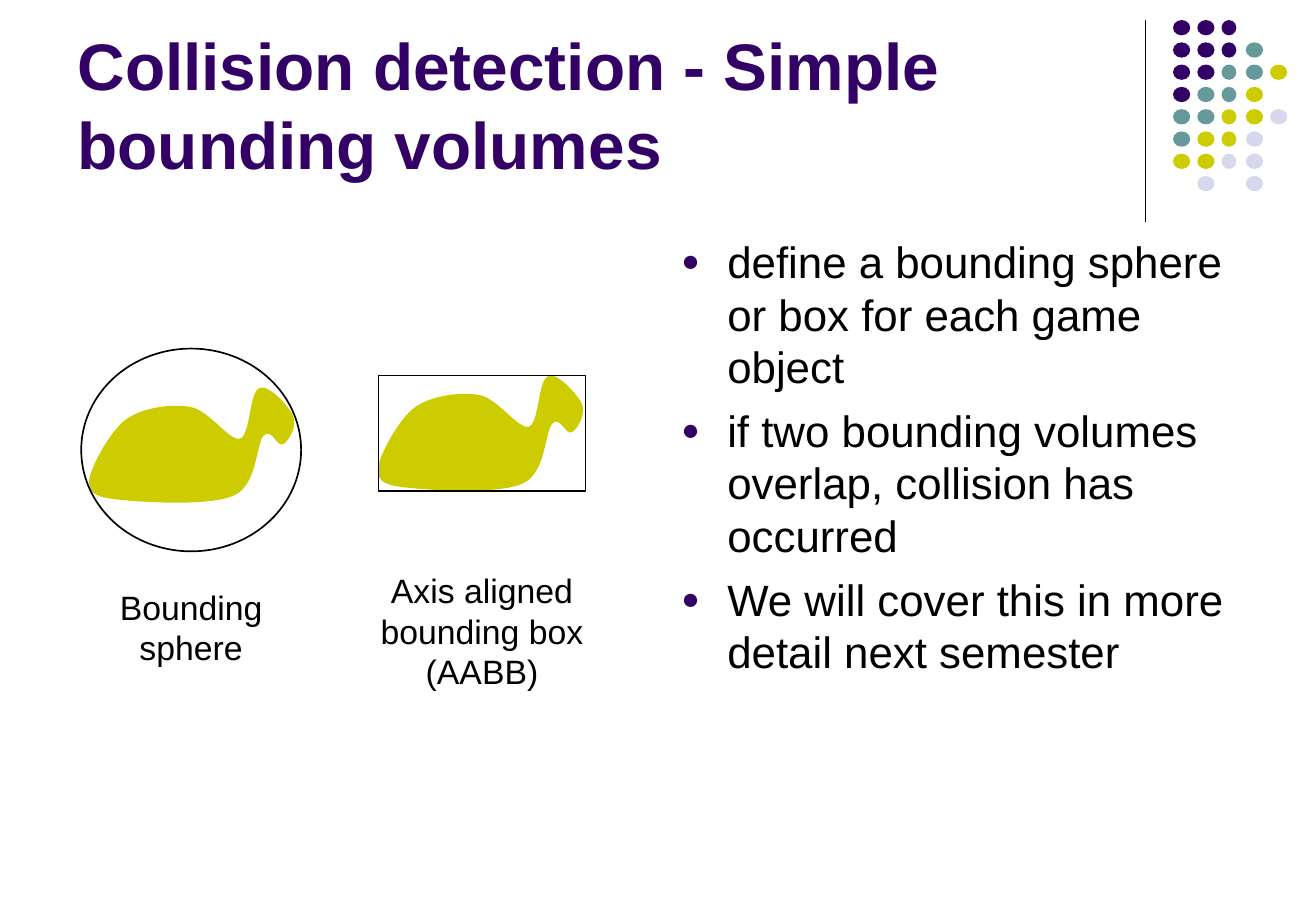
from dataclasses import dataclass
from itertools import chain

from lxml import etree
from pptx import Presentation, util as u
from pptx.dml.color import RGBColor
from pptx.enum import shapes, text
from pptx.oxml import ns

PLUM = RGBColor(0x33, 0x00, 0x66)
TEAL = RGBColor(0x66, 0x99, 0x99)
LIME = RGBColor(0xCC, 0xCC, 0x00)
PALE = RGBColor(0xD8, 0xD8, 0xEC)
BLACK = RGBColor(0, 0, 0)

HUES = {"P": PLUM, "T": TEAL, "L": LIME, "W": PALE}
DOTS = ["PPP", "PPPT", "PPTTL", "PTTL", "TTLLW", "TLLW", "LLWW", " W W"]

START = (1.88, 10.06)
CURVES = [
    ((1.91, 9.78), (2.31, 9.04), (2.64, 8.79)),
    ((3.0, 8.53), (3.61, 8.46), (3.99, 8.53)),
    ((4.39, 8.61), (4.78, 9.25), (5.03, 9.19)),
    ((5.26, 9.12), (5.23, 8.2), (5.44, 8.13)),
    ((5.61, 8.05), (6.05, 8.53), (6.12, 8.71)),
    ((6.2, 8.92), (6.02, 9.22), (5.92, 9.27)),
    ((5.82, 9.35), (5.69, 8.92), (5.51, 9.09)),
    ((5.33, 9.27), (5.38, 10.11), (4.9, 10.34)),
    ((4.42, 10.57), (3.07, 10.49), (2.57, 10.44)),
    ((2.06, 10.39), (1.88, 10.34), START),
]

Box = tuple[float, float, float, float]


@dataclass
class Figure:
    kind: shapes.MSO_SHAPE
    bounds: Box
    shift: tuple[float, float]
    label: str
    place: Box


FIGURES = [
    Figure(shapes.MSO_SHAPE.OVAL, (1.7, 7.29, 4.6, 4.24), (0, 0),
           "Bounding sphere", (1.98, 12.14, 4.04, 1.96)),
    Figure(shapes.MSO_SHAPE.RECTANGLE, (7.92, 7.85, 4.33, 2.42), (6.04, -0.25),
           "Axis aligned bounding box (AABB)", (7.67, 11.79, 4.83, 2.79)),
]
POINTS = [
    "define a bounding sphere or box for each game object",
    "if two bounding volumes overlap, collision has occurred",
    "We will cover this in more detail next semester",
]


def put(item, box: Box) -> None:
    item.left, item.top, item.width, item.height = map(u.Cm, box)


def write(item, lines: list[str], *, size: float, hue: RGBColor = BLACK,
          bold: bool = False, align=text.PP_ALIGN.LEFT,
          anchor=text.MSO_ANCHOR.TOP, fit=text.MSO_AUTO_SIZE.NONE,
          before: float = 0, bullet: str = "") -> None:
    frame = item.text_frame
    frame.text = "\n".join(lines)
    frame.word_wrap = True
    frame.auto_size = fit
    frame.vertical_anchor = anchor
    for para in frame.paragraphs:
        para.alignment = align
        para.space_before = u.Pt(before)
        font = para.runs[0].font
        font.name, font.size, font.bold = "Arial", u.Pt(size), bold
        font.color.rgb = hue
        if bullet:
            mark(para, bullet)


def mark(para, bullet: str) -> None:
    props = para._p.get_or_add_pPr()
    props.set("marL", str(u.Cm(0.96)))
    props.set("indent", str(-u.Cm(0.96)))
    tint = etree.SubElement(props, ns.qn("a:buClr"))
    etree.SubElement(tint, ns.qn("a:srgbClr"), val=str(PLUM))
    etree.SubElement(props, ns.qn("a:buSzPct"), val="70000")
    etree.SubElement(props, ns.qn("a:buChar"), char=bullet)


def paint(shape, fill: RGBColor | None, line: RGBColor | None) -> None:
    shape.shadow.inherit = False
    if fill is None:
        shape.fill.background()
    else:
        shape.fill.solid()
        shape.fill.fore_color.rgb = fill
    if line is None:
        shape.line.fill.background()
    else:
        shape.line.color.rgb = line
        shape.line.width = u.Pt(1)


def draw(slide, kind: shapes.MSO_SHAPE, box: Box,
         fill: RGBColor | None = None, line: RGBColor | None = None) -> None:
    paint(slide.shapes.add_shape(kind, *map(u.Cm, box)), fill, line)


def bend(shape) -> None:
    legs = list(shape._element.iter(ns.qn("a:lnTo")))
    for first in range(0, len(legs), 3):
        curve = etree.Element(ns.qn("a:cubicBezTo"))
        legs[first].addprevious(curve)
        for leg in legs[first:first + 3]:
            curve.append(leg[0])
            leg.getparent().remove(leg)


def blob(slide, shift: tuple[float, float]) -> None:
    dx, dy = shift
    spots = [(u.Cm(x + dx), u.Cm(y + dy))
             for x, y in chain([START], *CURVES)]
    maker = slide.shapes.build_freeform(*spots[0])
    maker.add_line_segments(spots[1:], close=True)
    shape = maker.convert_to_shape()
    bend(shape)
    paint(shape, LIME, LIME)


def motif(slide) -> None:
    rule = slide.shapes.add_connector(
        shapes.MSO_CONNECTOR.STRAIGHT, *map(u.Cm, (23.97, 0.42, 23.97, 4.65)))
    rule.line.color.rgb = BLACK
    rule.line.width = u.Pt(0.75)
    etree.SubElement(rule._element.spPr, ns.qn("a:effectLst"))
    for row, codes in enumerate(DOTS):
        for col, code in enumerate(codes):
            if code in HUES:
                wide = 0.31 if col == 2 else 0.36
                box = (24.54 + col * 2.03 / 4, 0.42 + row * 3.26 / 7, wide, 0.32)
                draw(slide, shapes.MSO_SHAPE.OVAL, box, fill=HUES[code])


def main() -> None:
    deck = Presentation()
    deck.slide_width, deck.slide_height = u.Cm(27.53), u.Cm(19.05)
    slide = deck.slides.add_slide(deck.slide_layouts[1])
    motif(slide)

    title, body = slide.placeholders
    put(title, (1.37, 0.33, 22.71, 3.61))
    write(title, ["Collision detection - Simple bounding volumes"], size=39,
          hue=PLUM, bold=True, anchor=text.MSO_ANCHOR.BOTTOM)
    put(body, (14, 4.78, 12.14, 12.24))
    write(body, POINTS, size=26, before=6.5, bullet="●")

    for fig in FIGURES:
        blob(slide, fig.shift)
        draw(slide, fig.kind, fig.bounds, line=BLACK)
        label = slide.shapes.add_textbox(*map(u.Cm, fig.place))
        write(label, [fig.label], size=20, align=text.PP_ALIGN.CENTER,
              fit=text.MSO_AUTO_SIZE.SHAPE_TO_FIT_TEXT)

    deck.save("out.pptx")


if __name__ == "__main__":
    main()
